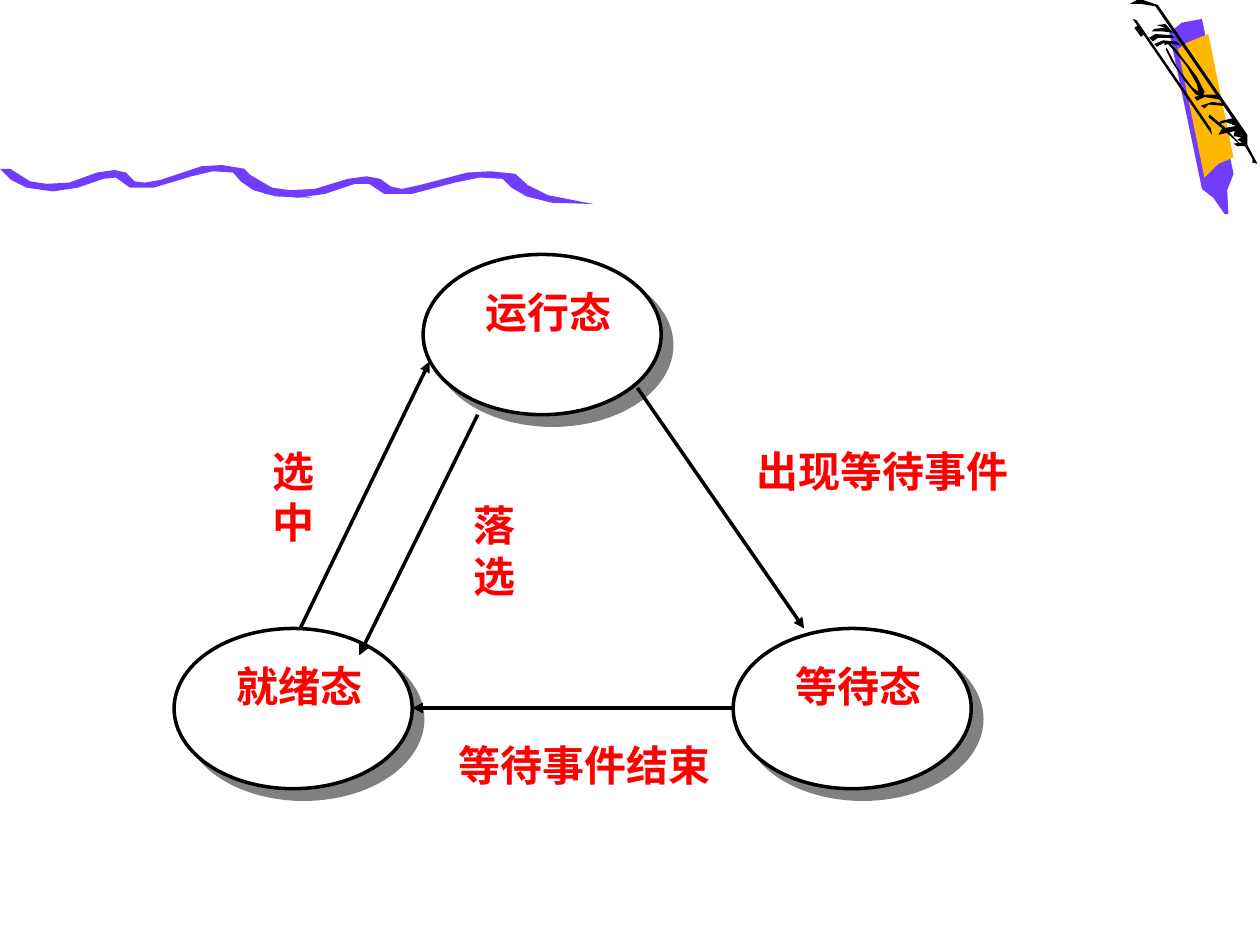
"""Builds a slide with the three-state process diagram."""
from lxml import etree
from pptx import Presentation
from pptx import util as u
from pptx.dml.color import RGBColor
from pptx.enum import shapes, text
from pptx.oxml import ns

BLACK = RGBColor(0, 0, 0)
WHITE = RGBColor(255, 255, 255)
RED = RGBColor(255, 0, 0)
VIOLET = RGBColor(0x70, 0x3D, 0xFF)
AMBER = RGBColor(0xFF, 0xB8, 0)
GRAY = RGBColor(0x80, 0x80, 0x80)

PENCIL_BODY = [(928, 26), (954, 150), (963, 157), (972, 170), (975, 170), (974, 151),
               (979, 138), (954, 15), (938, 18)]
PENCIL_FACE = [(956, 141), (967, 130), (979, 125), (959, 27), (942, 34), (935, 39)]
WAVES = [
    [(8, 134), (24, 144), (37, 146), (55, 145), (77, 137), (91, 135), (100, 137),
     (107, 144), (115, 145), (127, 143), (160, 132), (176, 131), (194, 134), (202, 143),
     (216, 150), (248, 157), (219, 156), (201, 151), (191, 144), (185, 137), (169, 136),
     (152, 140), (122, 149), (103, 149), (92, 141), (82, 142), (62, 149), (42, 152),
     (21, 149), (9, 143), (0, 134)],
    [(197, 138), (216, 149), (230, 151), (250, 150), (276, 142), (291, 140), (302, 142),
     (310, 148), (319, 150), (333, 147), (371, 137), (389, 136), (409, 138), (419, 147),
     (435, 155), (471, 162), (438, 161), (418, 156), (406, 149), (399, 142), (381, 141),
     (361, 145), (327, 154), (305, 154), (293, 146), (282, 146), (258, 154), (236, 157),
     (211, 154), (198, 147), (188, 139)],
]
PENCIL_STROKES = [
    [(959, 93), (970, 102), (984, 115), (984, 114), (972, 101), (960, 91)],
    [(914, 25), (923, 25), (931, 26), (925, 19), (918, 20), (925, 22), (916, 23)],
    [(925, 39), (930, 49), (940, 64), (949, 75), (954, 77), (956, 73), (950, 61),
     (940, 48), (933, 39), (927, 33), (924, 33), (924, 36), (927, 35), (934, 43),
     (942, 53), (950, 67), (951, 73), (946, 69), (934, 53), (926, 38)],
    [(899, 15), (962, 107), (961, 102), (902, 16)],
    [(967, 107), (970, 102), (981, 100), (973, 97), (966, 99), (969, 96), (978, 94),
     (917, 5), (905, 3), (897, 3), (904, -1), (919, 4), (990, 107), (990, 115),
     (998, 130), (994, 129), (994, 126), (988, 116), (982, 116), (979, 114), (986, 113),
     (982, 111), (985, 109), (979, 108), (980, 104)],
    [(956, 86), (959, 83), (971, 84), (970, 82), (962, 81), (953, 84)],
    [(950, 80), (956, 77), (968, 79), (965, 75), (956, 75), (948, 77)],
    [(918, 37), (924, 34), (937, 36), (934, 33), (923, 32), (916, 35)],
    [(915, 33), (919, 30), (932, 30), (930, 28), (917, 27), (912, 30)],
]
STATES = [("运行态", 8.53, 5.13), ("就绪态", 3.51, 12.67), ("等待态", 14.78, 12.67)]
TRANSITIONS = [(6.05, 12.67, 8.66, 7.29), (9.63, 8.36, 7.24, 13.21),
               (12.85, 7.82, 16.21, 12.67), (14.78, 14.27, 8.31, 14.27)]
LABELS = [("选中", 5.08, 8.89, 1.67, 2.16), ("落选", 9.14, 9.98, 1.67, 2.16),
          ("出现等待事件", 15.16, 8.89, 5.28, 1.52), ("等待事件结束", 9.14, 14.81, 5.28, 1.52)]


def add_child(parent, name, **attributes):
    return etree.SubElement(parent, ns.qn(name), attributes)


class Painter:
    """Holds the style and the current slide."""

    frame_format = {"margin_left": 0, "margin_right": 0, "margin_bottom": 0,
                    "margin_top": u.Cm(0.1), "word_wrap": True,
                    "vertical_anchor": text.MSO_ANCHOR.TOP}
    font_format = {"name": "Noto Sans CJK SC", "size": u.Pt(24), "bold": True}

    def __init__(self, page):
        self.page = page

    def freeform(self, points, color):
        builder = self.page.shapes.build_freeform(*points[0], scale=u.Cm(2.54) / 100)
        builder.add_line_segments(points[1:], close=True)
        outline = builder.convert_to_shape()
        outline.shadow.inherit = False
        outline.fill.solid()
        outline.fill.fore_color.rgb = color
        outline.line.fill.background()

    def ellipse(self, *place):
        oval = self.page.shapes.add_shape(shapes.MSO_SHAPE.OVAL, *map(u.Cm, place))
        oval.fill.solid()
        oval.fill.fore_color.rgb = WHITE
        oval.line.color.rgb = BLACK
        oval.line.width = u.Pt(2)
        oval.shadow.inherit = False
        effects = oval._element.spPr.find(ns.qn("a:effectLst"))
        shadow = add_child(effects, "a:outerShdw", blurRad="0", dist=str(u.Pt(8.5)),
                           dir="2700000", algn="ctr", rotWithShape="0")
        add_child(shadow, "a:srgbClr", val=str(GRAY))

    def line(self, *ends, width=2, arrow=True):
        link = self.page.shapes.add_connector(shapes.MSO_CONNECTOR.STRAIGHT, *map(u.Cm, ends))
        link.line.color.rgb = BLACK
        link.line.width = u.Pt(width)
        if arrow:
            add_child(link.line._get_or_add_ln(), "a:tailEnd", type="triangle")
        add_child(link._element.spPr, "a:effectLst")

    def label(self, words, *place):
        box = self.page.shapes.add_textbox(*map(u.Cm, place))
        box.fill.solid()
        box.fill.fore_color.rgb = WHITE
        for name, value in self.frame_format.items():
            setattr(box.text_frame, name, value)
        para = box.text_frame.paragraphs[0]
        para.alignment = text.PP_ALIGN.CENTER
        span = para.add_run()
        span.text = words
        for name, value in self.font_format.items():
            setattr(span.font, name, value)
        span.font.color.rgb = RED
        add_child(span._r.get_or_add_rPr(), "a:ea", typeface=self.font_format["name"])


def main():
    deck = Presentation()
    deck.slide_width, deck.slide_height = u.Cm(25.4), u.Cm(19.05)
    painter = Painter(deck.slides.add_slide(deck.slide_layouts[6]))

    painter.freeform(PENCIL_BODY, VIOLET)
    painter.freeform(PENCIL_FACE, AMBER)
    for wave in WAVES:
        painter.freeform(wave, VIOLET)
    for stroke in PENCIL_STROKES:
        painter.freeform(stroke, BLACK)
    painter.line(22.91, 0.53, 23.04, 0.71, width=3, arrow=False)

    for _, left, top in STATES:
        painter.ellipse(left, top, 4.8, 3.23)
    for ends in TRANSITIONS:
        painter.line(*ends)
    for name, left, top in STATES:
        painter.label(name, left + 1.09, top + 0.54, 2.87, 2.16)
    for label in LABELS:
        painter.label(*label)

    deck.save("out.pptx")


if __name__ == "__main__":
    main()
